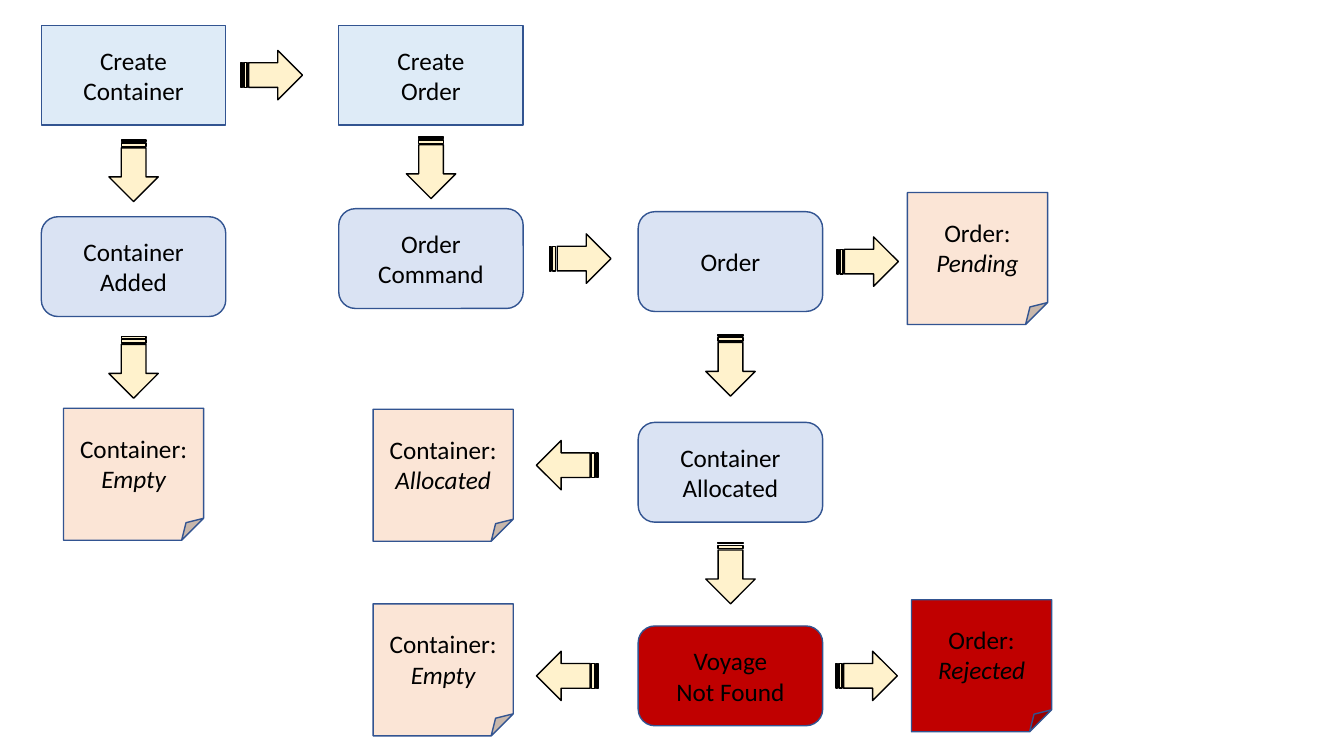
import pptx
import pptx.util
import pptx.dml.color
import pptx.enum.shapes
import pptx.enum.text

SHAPES = pptx.enum.shapes.MSO_SHAPE
OUTLINE, BLACK = "325491", "000000"
COMMAND_BLUE, EVENT_BLUE, NOTE_PEACH = "DEEBF7", "DAE3F3", "FBE5D6"
FAILURE_RED, ARROW_CREAM = "C00000", "FFF2CC"

STEP_SIZE = (1.83, 0.99)
NOTE_SIZE = (1.39, 1.31)
ARROW_SIZE = (0.61, 0.49)
RIGHT, DOWN, LEFT = 0, 90, 180

# Left edges of the step columns
CONTAINER_X, COMMAND_X, ORDER_X = 0.41, 3.36, 6.33


def color(hex_text):
    return pptx.dml.color.RGBColor.from_string(hex_text)


def add_box(slide, kind, left, top, size, fill, line):
    box = slide.shapes.add_shape(
        kind, *[pptx.util.Inches(length) for length in (left, top, *size)])
    box.shadow.inherit = False
    box.fill.solid()
    box.fill.fore_color.rgb = color(fill)
    box.line.color.rgb = color(line)
    box.line.width = pptx.util.Pt(1)
    return box


def write(para, text, size=18, font="Calibri", ink=BLACK, italic=False):
    """Write text into a centred paragraph, breaking at each newline."""
    para.alignment = pptx.enum.text.PP_ALIGN.CENTER
    for number, line in enumerate(text.split("\n")):
        if number:
            para.add_line_break()
        span = para.add_run()
        span.text = line
        span.font.size = pptx.util.Pt(size)
        span.font.name = font
        span.font.italic = italic
        span.font.color.rgb = color(ink)


def add_step(slide, left, top, text, fill=EVENT_BLUE, kind=SHAPES.ROUNDED_RECTANGLE):
    box = add_box(slide, kind, left, top, STEP_SIZE, fill, OUTLINE)
    box.text_frame.vertical_anchor = pptx.enum.text.MSO_ANCHOR.MIDDLE
    write(box.text_frame.paragraphs[0], text)


def add_note(slide, left, top, subject, state, fill=NOTE_PEACH):
    box = add_box(slide, SHAPES.FOLDED_CORNER, left, top, NOTE_SIZE, fill, OUTLINE)
    frame = box.text_frame
    frame.vertical_anchor = pptx.enum.text.MSO_ANCHOR.MIDDLE
    write(frame.paragraphs[0], subject + ":")
    write(frame.add_paragraph(), state, italic=True)


def add_arrow(slide, left, top, direction):
    arrow = add_box(slide, SHAPES.STRIPED_RIGHT_ARROW, left, top, ARROW_SIZE,
                    ARROW_CREAM, BLACK)
    arrow.rotation = direction


def add_down_arrow(slide, column, top):
    """Centre a downward arrow under the steps of a column."""
    add_arrow(slide, column + (STEP_SIZE[0] - ARROW_SIZE[0]) / 2, top, DOWN)


def add_container_flow(slide):
    add_step(slide, CONTAINER_X, 0.25, "Create\nContainer", COMMAND_BLUE, SHAPES.RECTANGLE)
    add_step(slide, CONTAINER_X, 2.15, "Container\nAdded")
    note_left = CONTAINER_X + (STEP_SIZE[0] - NOTE_SIZE[0]) / 2
    add_note(slide, note_left, 4.05, "Container", "Empty")
    for top in (1.45, 3.4):
        add_down_arrow(slide, CONTAINER_X, top)
    add_arrow(slide, 2.39, 0.5, RIGHT)


def add_command_flow(slide):
    add_step(slide, COMMAND_X, 0.25, "Create\nOrder", COMMAND_BLUE, SHAPES.RECTANGLE)
    add_step(slide, COMMAND_X, 2.07, "Order Command")
    add_down_arrow(slide, COMMAND_X, 1.42)
    add_arrow(slide, 5.45, 2.32, RIGHT)


def add_order_flow(slide):
    # Steps
    add_step(slide, ORDER_X, 2.1, "Order")
    add_step(slide, ORDER_X, 4.19, "Container\nAllocated")
    add_step(slide, ORDER_X, 6.21, "Voyage\nNot Found", FAILURE_RED)
    for top in (3.38, 5.44):
        add_down_arrow(slide, ORDER_X, top)

    # Order states on the right
    add_note(slide, 9, 1.91, "Order", "Pending")
    add_note(slide, 9.04, 5.95, "Order", "Rejected", FAILURE_RED)
    add_arrow(slide, 8.3, 2.35, RIGHT)
    add_arrow(slide, 8.29, 6.46, RIGHT)

    # Container states on the left
    for note_top, arrow_top, state in ((4.06, 4.37, "Allocated"), (5.99, 6.46, "Empty")):
        add_note(slide, 3.7, note_top, "Container", state)
        add_arrow(slide, 5.32, arrow_top, LEFT)


def main():
    deck = pptx.Presentation()
    deck.slide_width = pptx.util.Inches(13.33)
    deck.slide_height = pptx.util.Inches(7.5)
    slide = deck.slides.add_slide(deck.slide_layouts[6])
    add_container_flow(slide)
    add_command_flow(slide)
    add_order_flow(slide)
    deck.save("out.pptx")


if __name__ == "__main__":
    main()
